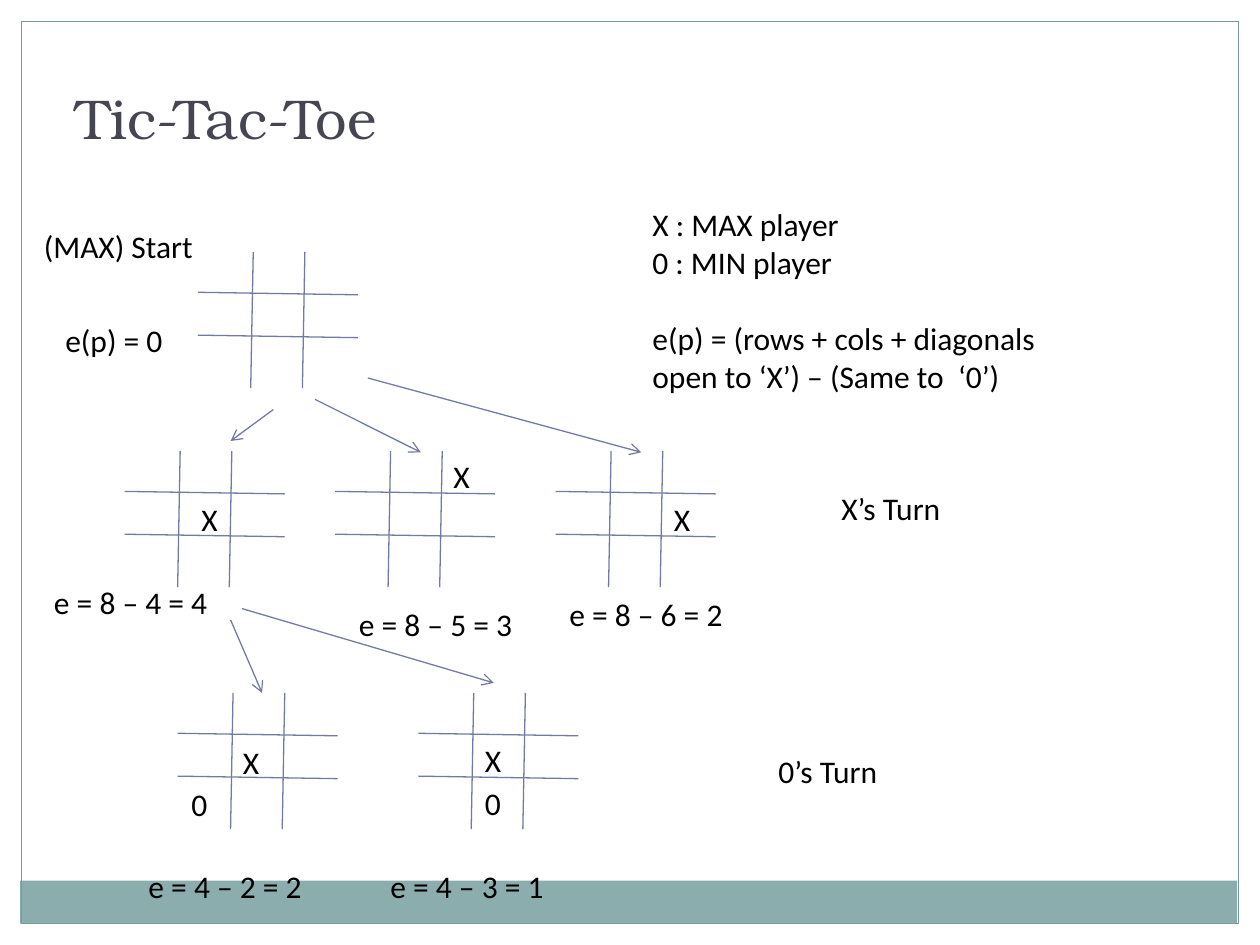
from dataclasses import dataclass

from lxml import etree
from pptx import Presentation
from pptx import util as u
from pptx.dml.color import RGBColor
from pptx.enum import shapes, text
from pptx.oxml import ns
from pptx.shapes.connector import Connector
from pptx.slide import Slide

TEXT = RGBColor(0x00, 0x00, 0x00)
TITLE = RGBColor(0x46, 0x46, 0x53)
LINE = RGBColor(0x72, 0x7C, 0xA3)
BAND = RGBColor(0x8C, 0xAD, 0xAE)
BORDER = RGBColor(0x7C, 0x99, 0x9A)
TITLE_FONT = "TeX Gyre Bonum"
BODY_FONT = "Calibri"


@dataclass(frozen=True)
class Board:
    left: float
    top: float


@dataclass(frozen=True)
class Arrow:
    start: tuple[float, float]
    end: tuple[float, float]


@dataclass(frozen=True)
class Label:
    left: float
    top: float
    width: float
    lines: tuple[str, ...]
    gap_before_last: float = 0


BOARD_WIDTH = 1.27
BOARD_HEIGHT = 1.08
COLUMN_OFFSETS = (0.42, 0.83)
ROW_OFFSETS = (0.32, 0.66)
SLANT = 0.02
LINE_HEIGHT = 0.3
MARK_WIDTH = 0.33
SCORE_WIDTH = 2.08

BOARDS = (
    Board(1.57, 2),
    Board(0.99, 3.58),
    Board(2.66, 3.58),
    Board(4.41, 3.58),
    Board(1.41, 5.5),
    Board(3.32, 5.5),
)

ARROWS = (
    Arrow((2.17, 3.25), (1.83, 3.5)),
    Arrow((2.5, 3.17), (3.34, 3.59)),
    Arrow((2.92, 3), (5.09, 3.59)),
    Arrow((1.83, 4.92), (2.08, 5.5)),
    Arrow((1.92, 4.83), (3.92, 5.42)),
)

LABELS = (
    Label(0.25, 1.75, 1.5, ("(MAX) Start",)),
    Label(
        5.08,
        1.58,
        3.5,
        (
            "X : MAX player",
            "0 : MIN player",
            "e(p) = (rows + cols + diagonals open to ‘X’) – (Same to  ‘0’)",
        ),
        gap_before_last=22,
    ),
    Label(0.42, 2.5, SCORE_WIDTH, ("e(p) = 0",)),
    Label(1.5, 3.92, MARK_WIDTH, ("X",)),
    Label(3.5, 3.58, MARK_WIDTH, ("X",)),
    Label(5.25, 3.92, MARK_WIDTH, ("X",)),
    Label(0.33, 4.58, SCORE_WIDTH, ("e = 8 – 4 = 4",)),
    Label(2.75, 4.75, SCORE_WIDTH, ("e = 8 – 5 = 3",)),
    Label(4.42, 4.67, SCORE_WIDTH, ("e = 8 – 6 = 2",)),
    Label(1.08, 6.83, SCORE_WIDTH, ("e = 4 – 2 = 2",)),
    Label(3, 6.83, SCORE_WIDTH, ("e = 4 – 3 = 1",)),
    Label(1.83, 5.85, MARK_WIDTH, ("X",)),
    Label(3.75, 5.83, MARK_WIDTH, ("X",)),
    Label(1.42, 6.18, MARK_WIDTH, ("0",)),
    Label(3.75, 6.17, MARK_WIDTH, ("0",)),
    Label(6.58, 3.83, 3, ("X’s Turn",)),
    Label(6.08, 5.92, 3, ("0’s Turn",)),
)


def add_run(paragraph, words: str, font: str, size: float, color: RGBColor) -> None:
    run = paragraph.add_run()
    run.text = words
    run.font.name = font
    run.font.size = u.Pt(size)
    run.font.color.rgb = color


def draw_frame(slide: Slide) -> None:
    band = slide.shapes.add_shape(
        shapes.MSO_SHAPE.RECTANGLE,
        u.Inches(0.16), u.Inches(6.99), u.Inches(9.66), u.Inches(0.34),
    )
    band.shadow.inherit = False
    band.fill.solid()
    band.fill.fore_color.rgb = BAND
    band.line.fill.background()

    border = slide.shapes.add_shape(
        shapes.MSO_SHAPE.RECTANGLE,
        u.Inches(0.17), u.Inches(0.17), u.Inches(9.66), u.Inches(7.16),
    )
    border.shadow.inherit = False
    border.fill.background()
    border.line.color.rgb = BORDER
    border.line.width = u.Pt(0.75)


def draw_title(slide: Slide, words: str) -> None:
    title = slide.shapes.title
    title.left, title.top = u.Inches(0.5), u.Inches(0.17)
    title.width, title.height = u.Inches(9), u.Inches(1.08)
    frame = title.text_frame
    frame.auto_size = text.MSO_AUTO_SIZE.NONE
    frame.vertical_anchor = text.MSO_ANCHOR.BOTTOM
    paragraph = frame.paragraphs[0]
    paragraph.alignment = text.PP_ALIGN.LEFT
    add_run(paragraph, words, TITLE_FONT, 32, TITLE)


def draw_line(slide: Slide, start: tuple[float, float], end: tuple[float, float]) -> Connector:
    connector = slide.shapes.add_connector(
        shapes.MSO_CONNECTOR.STRAIGHT, *map(u.Inches, start + end)
    )
    connector.line.color.rgb = LINE
    connector.line.width = u.Pt(0.75)
    etree.SubElement(connector.element.spPr, ns.qn("a:effectLst"))
    return connector


def draw_board(slide: Slide, board: Board) -> None:
    for offset in COLUMN_OFFSETS:
        x = board.left + offset
        draw_line(slide, (x + SLANT, board.top), (x, board.top + BOARD_HEIGHT))
    for offset in ROW_OFFSETS:
        y = board.top + offset
        draw_line(slide, (board.left + BOARD_WIDTH, y + SLANT), (board.left, y))


def draw_arrow(slide: Slide, arrow: Arrow) -> None:
    connector = draw_line(slide, arrow.start, arrow.end)
    etree.SubElement(connector.line._get_or_add_ln(), ns.qn("a:tailEnd"), type="arrow")


def draw_label(slide: Slide, label: Label) -> None:
    height = 0.1 + LINE_HEIGHT * len(label.lines)
    if label.gap_before_last:
        height += 2 * LINE_HEIGHT
    box = slide.shapes.add_textbox(
        u.Inches(label.left), u.Inches(label.top), u.Inches(label.width), u.Inches(height)
    )
    frame = box.text_frame
    frame.word_wrap = True
    frame.auto_size = text.MSO_AUTO_SIZE.SHAPE_TO_FIT_TEXT
    for index, words in enumerate(label.lines):
        paragraph = frame.add_paragraph() if index else frame.paragraphs[0]
        add_run(paragraph, words, BODY_FONT, 18, TEXT)
    if label.gap_before_last:
        frame.paragraphs[-1].space_before = u.Pt(label.gap_before_last)


def main() -> None:
    presentation = Presentation()
    presentation.slide_width = u.Inches(10)
    presentation.slide_height = u.Inches(7.5)
    slide = presentation.slides.add_slide(presentation.slide_layouts[5])
    draw_frame(slide)
    draw_title(slide, "Tic-Tac-Toe")
    for board in BOARDS:
        draw_board(slide, board)
    for arrow in ARROWS:
        draw_arrow(slide, arrow)
    for label in LABELS:
        draw_label(slide, label)
    presentation.save("out.pptx")


if __name__ == "__main__":
    main()
